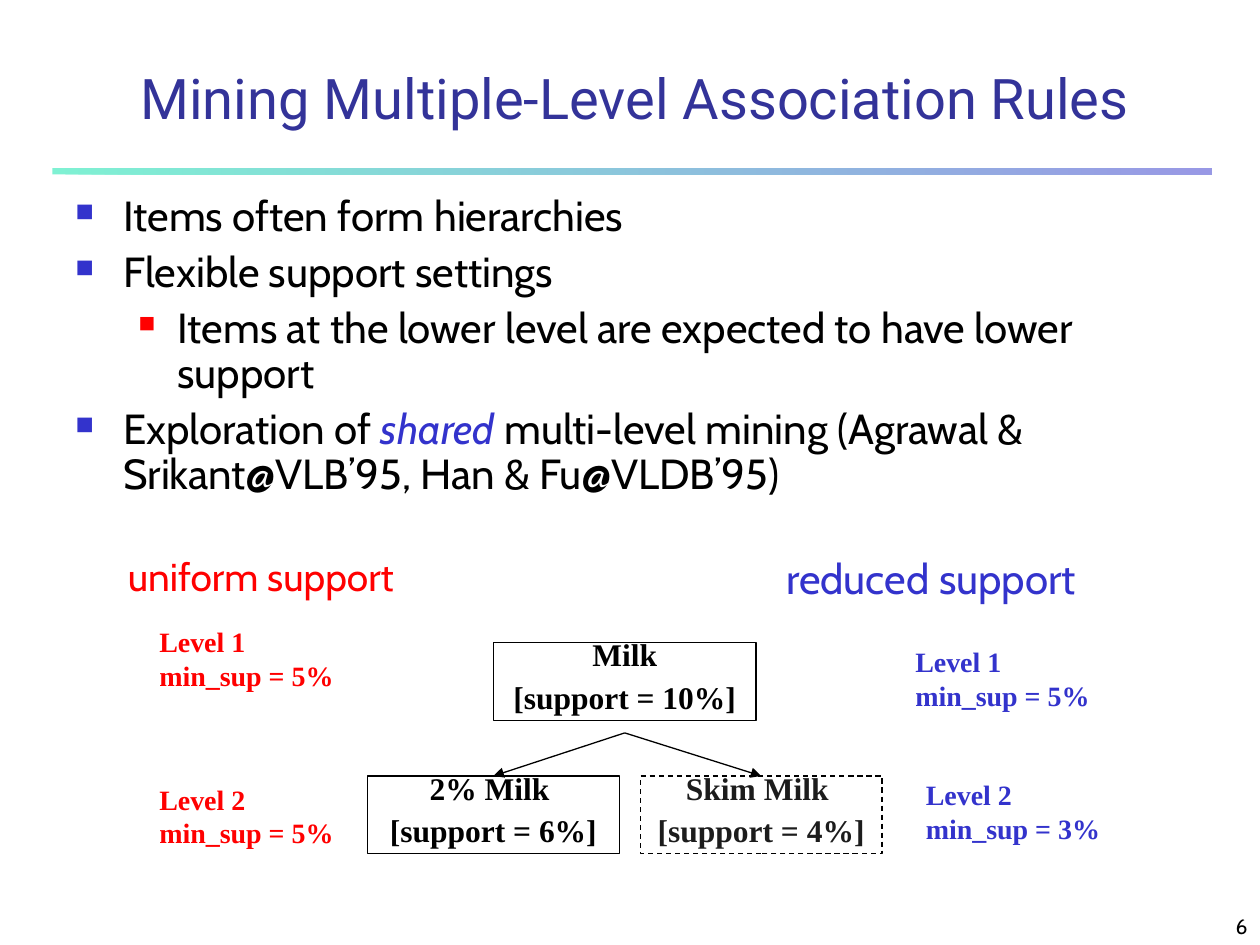
from lxml import etree
from pptx import Presentation
from pptx.dml.color import RGBColor
from pptx.enum.dml import MSO_LINE
from pptx.enum.shapes import MSO_CONNECTOR, MSO_SHAPE
from pptx.enum.text import MSO_ANCHOR, PP_ALIGN
from pptx.oxml.ns import qn
from pptx.util import Inches, Pt

LEFT, CENTER, RIGHT = PP_ALIGN.LEFT, PP_ALIGN.CENTER, PP_ALIGN.RIGHT
TOP, BOTTOM = MSO_ANCHOR.TOP, MSO_ANCHOR.BOTTOM
RECT, STRAIGHT, DASH = MSO_SHAPE.RECTANGLE, MSO_CONNECTOR.STRAIGHT, MSO_LINE.DASH

BLACK = RGBColor(0x00, 0x00, 0x00)
CHARCOAL = RGBColor(0x1C, 0x1C, 0x1C)
WHITE = RGBColor(0xFF, 0xFF, 0xFF)
RED = RGBColor(0xFF, 0x00, 0x00)
BLUE = RGBColor(0x33, 0x33, 0xCC)
NAVY = RGBColor(0x33, 0x33, 0x99)
MINT = RGBColor(0x00, 0xE4, 0xA8)
SANS, HEADING, SERIF = "Cabin", "Roboto", "Times New Roman"

prs = Presentation()
prs.slide_width, prs.slide_height = Inches(10), Inches(7.5)
s = prs.slides.add_slide(prs.slide_layouts[6])

# The grid has 120 columns and 90 rows of square cells
CELL = prs.slide_width / 120


def cells(*counts):
    return [round(n * CELL) for n in counts]


def write(sp, lines, size, font, color, bold=None, align=LEFT, anchor=TOP, wrap=True):
    """Fill a shape with one paragraph per line, all in one style."""
    tf = sp.text_frame
    tf.word_wrap, tf.vertical_anchor = wrap, anchor
    tf.text = "\n".join(lines)
    for p in tf.paragraphs:
        p.alignment = align
        f = p.runs[0].font
        f.size, f.name, f.bold = Pt(size), font, bold
        f.color.rgb = color
    return tf


# Rule below the title
rule = s.shapes.add_shape(RECT, *cells(5, 16, 110.4, 0.6))
rule.shadow.inherit = False
rule.line.fill.background()
rule.fill.gradient()
rule.fill.gradient_angle = 0
for stop, color, position in zip(rule.fill.gradient_stops, (MINT, BLUE), (0, 1)):
    stop.color.rgb, stop.position = color, position

# Page number, title and headings of the two schemes
for at, text, size, font, color, align, anchor, wrap in (
    ((95, 85, 25, 5), "6", 12, SANS, BLACK, RIGHT, BOTTOM, True),
    ((9, 5, 103, 8), "Mining Multiple-Level Association Rules", 32, HEADING, NAVY,
     CENTER, BOTTOM, True),
    ((11, 52, 32, 7), "uniform support", 22.2, SANS, RED, LEFT, TOP, True),
    ((73.7, 52, 33.7, 6), "reduced support", 24, SANS, BLUE, LEFT, TOP, False),
):
    write(s.shapes.add_textbox(*cells(*at)), [text], size, font, color,
          align=align, anchor=anchor, wrap=wrap)

# Bulleted points
POINTS = (
    (0, ["Items often form hierarchies"]),
    (0, ["Flexible support settings"]),
    (1, ["Items at the lower level are expected to have lower support"]),
    (0, ["Exploration of ", "shared",
         " multi-level mining (Agrawal & Srikant@VLB’95, Han & Fu@VLDB’95)"]),
)
# Per level: left margin, hanging indent, bullet colour, bullet size
LEVELS = ((0.38, -0.38, BLUE, 60), (0.81, -0.31, RED, 55))
tf = s.shapes.add_textbox(*cells(6, 18, 110, 31)).text_frame
tf.word_wrap = True
for i, (level, parts) in enumerate(POINTS):
    margin, indent, bullet_color, bullet_size = LEVELS[level]
    p = tf.add_paragraph() if i else tf.paragraphs[0]
    p.level, p.line_spacing = level, 0.9
    p.space_before = Pt(6 if i else 0)
    pPr = p._p.get_or_add_pPr()
    pPr.set("marL", str(Inches(margin)))
    pPr.set("indent", str(Inches(indent)))
    clr = etree.SubElement(pPr, qn("a:buClr"))
    etree.SubElement(clr, qn("a:srgbClr"), val=str(bullet_color))
    etree.SubElement(pPr, qn("a:buSzPct"), val=str(bullet_size * 1000))
    etree.SubElement(pPr, qn("a:buChar"), char="■")
    for part in parts:
        r = p.add_run()
        r.text = part
        r.font.size, r.font.name = Pt(24), SANS
        r.font.color.rgb = BLACK
        if part == "shared":
            r.font.italic = True
            r.font.color.rgb = BLUE

# Item hierarchy
boxes = []
for at, name, support, color in (
    ((47, 61.2, 25, 7.4), "Milk", 10, BLACK),
    ((35, 73.9, 24, 7.4), "2% Milk ", 6, BLACK),
    ((61, 73.9, 23, 7.4), "Skim Milk ", 4, CHARCOAL),
):
    sp = s.shapes.add_shape(RECT, *cells(*at))
    sp.shadow.inherit = False
    sp.fill.solid()
    sp.fill.fore_color.rgb = WHITE
    sp.line.color.rgb, sp.line.width = BLACK, Pt(0.75)
    tf = write(sp, [name, f"[support = {support}%]"], 18, SERIF, color, True, CENTER)
    for p in tf.paragraphs:
        p.line_spacing = 0.6
    tf.paragraphs[1].space_before = Pt(11.2)
    boxes.append(sp)
milk, two_percent, skim = boxes
skim.line.dash_style = DASH

# The rule and the skim milk box are half transparent
for sp in (rule, skim):
    fill = sp._element.spPr.find(qn("a:gradFill" if sp is rule else "a:solidFill"))
    for clr in fill.iter(qn("a:srgbClr")):
        etree.SubElement(clr, qn("a:alpha"), val="50000")

# Support thresholds
for col, row, level, min_sup, color in (
    (14, 58.9, 1, 5, RED),
    (14, 73.9, 2, 5, RED),
    (86, 60.8, 1, 5, BLUE),
    (87, 73.5, 2, 3, BLUE),
):
    write(s.shapes.add_textbox(*cells(col, row, 19, 7.7)),
          [f"Level {level}", f"min_sup = {min_sup}%"], 16, SERIF, color, True, wrap=False)

# Arrows from below the parent to its children
for child in (two_percent, skim):
    arrow = s.shapes.add_connector(STRAIGHT, *cells(59.5, 69.8, 59.5, 73.9))
    arrow.end_connect(child, 0)
    arrow.line.color.rgb, arrow.line.width = BLACK, Pt(0.75)
    etree.SubElement(arrow.line._get_or_add_ln(), qn("a:tailEnd"), type="triangle")
    etree.SubElement(arrow._element.spPr, qn("a:effectLst"))

prs.save("out.pptx")
